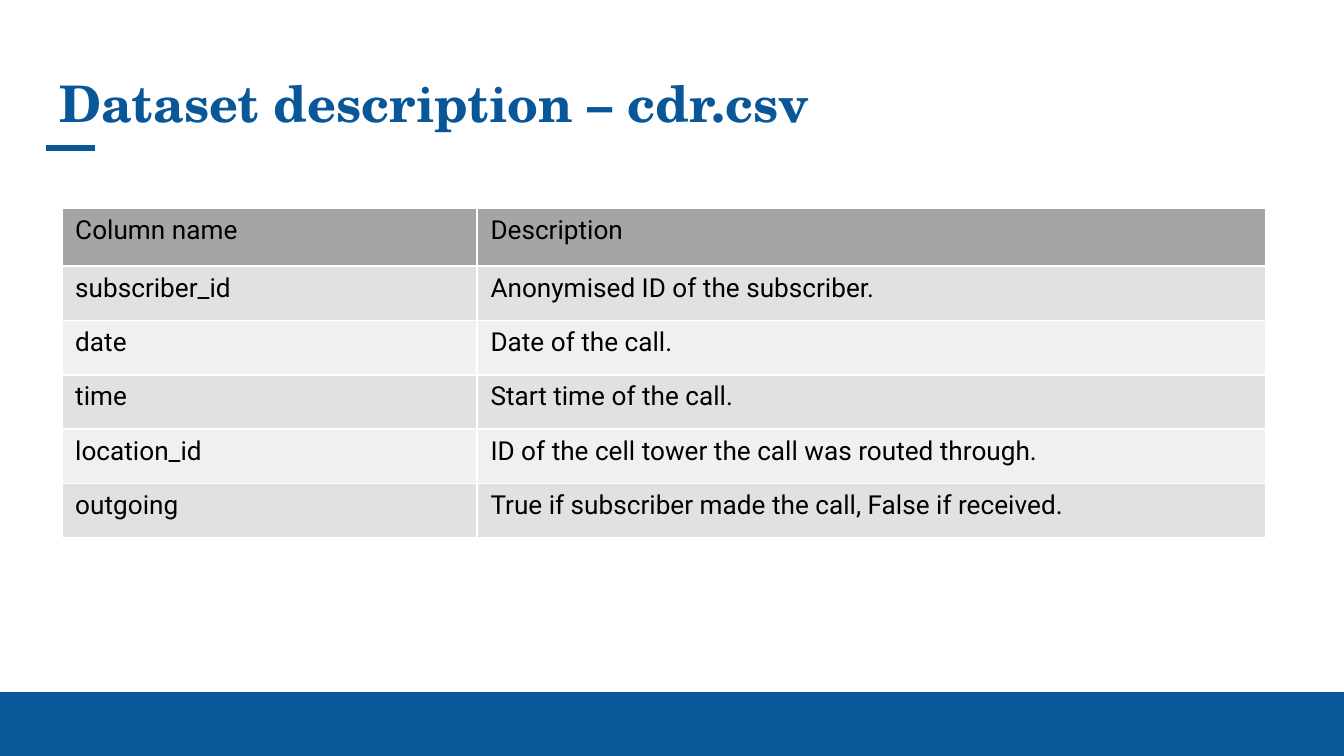
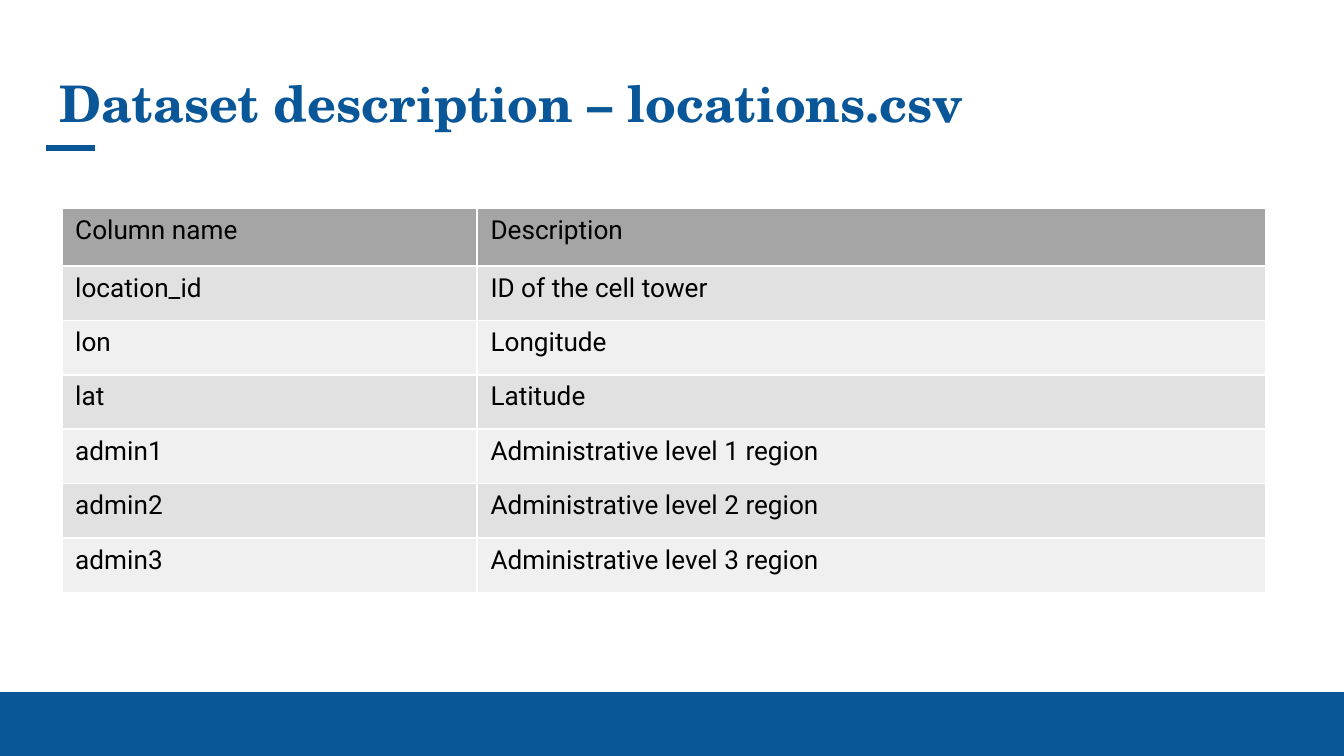
from dataclasses import dataclass

from lxml.etree import SubElement
from pptx import Presentation
from pptx.dml.color import RGBColor
from pptx.enum.shapes import MSO_CONNECTOR, MSO_SHAPE
from pptx.enum.text import MSO_ANCHOR, MSO_AUTO_SIZE, PP_ALIGN
from pptx.oxml.ns import qn
from pptx.util import Inches, Pt


@dataclass(frozen=True)
class Theme:
    """Colours, fonts and sizes shared by every slide."""

    blue: str = "095798"
    white: str = "FFFFFF"
    black: str = "000000"
    header: str = "A5A5A5"
    bands: tuple = ("E1E1E1", "F0F0F0")
    title_font: str = "TeX Gyre Schola"
    body_font: str = "Roboto"
    title_size: int = 27
    body_size: int = 14
    rule_width: int = 3


@dataclass(frozen=True)
class Box:
    """A region of the slide in inches."""

    left: float
    top: float
    width: float
    height: float

    def lengths(self):
        """Return left, top, width and height as lengths."""
        return [Inches(value) for value in (self.left, self.top, self.width, self.height)]


THEME = Theme()
PAGE = Box(0, 0, 10, 10 * 9 / 16)
TITLE = Box(0.34, 0.49, 9.32, 0.63)
FOOTER = Box(0, 5.15, PAGE.width, PAGE.height - 5.15)
TABLE = Box(0.46, 1.55, 8.96, 2.86)
NAME_WIDTH = 3.09
HEADER_HEIGHT = 0.43
ROW_HEIGHT = (TABLE.height - HEADER_HEIGHT) / 6
HEADINGS = ("Column name", "Description")
DATASETS = {
    "cdr.csv": [
        ("subscriber_id", "Anonymised ID of the subscriber."),
        ("date", "Date of the call."),
        ("time", "Start time of the call."),
        ("location_id", "ID of the cell tower the call was routed through."),
        ("outgoing", "True if subscriber made the call, False if received."),
    ],
    "locations.csv": [
        ("location_id", "ID of the cell tower"),
        ("lon", "Longitude"),
        ("lat", "Latitude"),
        *((f"admin{level}", f"Administrative level {level} region") for level in (1, 2, 3)),
    ],
}


def add_span(para, text, font, size, color, bold=False):
    """Add one formatted run to a paragraph."""
    span = para.add_run()
    span.text = text
    span.font.name = font
    span.font.size = Pt(size)
    span.font.bold = bold
    span.font.color.rgb = RGBColor.from_string(color)


def add_footer(page, box):
    """Draw the solid band along the bottom."""
    band = page.shapes.add_shape(MSO_SHAPE.RECTANGLE, *box.lengths())
    band.shadow.inherit = False
    band.fill.solid()
    band.fill.fore_color.rgb = RGBColor.from_string(THEME.blue)
    band.line.fill.background()


def add_title(page, box, text):
    """Place the title and the short rule under its left end."""
    title = page.shapes.title
    title.left, title.top, title.width, title.height = box.lengths()
    frame = title.text_frame
    frame.margin_left = frame.margin_right = Inches(0.1)
    frame.margin_top = frame.margin_bottom = Inches(0.1)
    frame.word_wrap = True
    frame.auto_size = MSO_AUTO_SIZE.NONE
    frame.vertical_anchor = MSO_ANCHOR.TOP
    para = frame.paragraphs[0]
    para.alignment = PP_ALIGN.LEFT
    para.line_spacing = 0.9
    add_span(para, text, THEME.title_font, THEME.title_size, THEME.blue, bold=True)

    height = Inches(box.top + 0.61)
    rule = page.shapes.add_connector(
        MSO_CONNECTOR.STRAIGHT, Inches(box.left), height, Inches(box.left + 0.37), height
    )
    rule.line.color.rgb = RGBColor.from_string(THEME.blue)
    rule.line.width = Pt(THEME.rule_width)
    SubElement(rule.element.spPr, qn("a:effectLst"))


def fill_cell(cell, text, color):
    """Write and format one table cell."""
    cell.fill.solid()
    cell.fill.fore_color.rgb = RGBColor.from_string(color)
    add_span(cell.text_frame.paragraphs[0], text, THEME.body_font, THEME.body_size, THEME.black)


def add_columns_table(page, box, entries):
    """Build the table of column names, with white rules from the table style."""
    rows = [HEADINGS, *entries]
    left, top, width, _ = box.lengths()
    height = Inches(HEADER_HEIGHT + ROW_HEIGHT * len(entries))
    table = page.shapes.add_table(len(rows), len(HEADINGS), left, top, width, height).table
    table.columns[0].width = Inches(NAME_WIDTH)
    table.columns[1].width = Inches(box.width - NAME_WIDTH)
    for index, texts in enumerate(rows):
        is_header = index == 0
        table.rows[index].height = Inches(HEADER_HEIGHT if is_header else ROW_HEIGHT)
        color = THEME.header if is_header else THEME.bands[(index - 1) % 2]
        for column, text in enumerate(texts):
            fill_cell(table.cell(index, column), text, color)


def add_dataset_page(deck, name, entries):
    """Add one slide describing the columns of a dataset."""
    page = deck.slides.add_slide(deck.slide_layouts.get_by_name("Title Only"))
    page.background.fill.solid()
    page.background.fill.fore_color.rgb = RGBColor.from_string(THEME.white)
    add_footer(page, FOOTER)
    add_title(page, TITLE, f"Dataset description – {name}")
    add_columns_table(page, TABLE, entries)


def main():
    """Build and save the deck."""
    deck = Presentation()
    deck.slide_width, deck.slide_height = PAGE.lengths()[2:]
    for name, entries in DATASETS.items():
        add_dataset_page(deck, name, entries)
    deck.save("out.pptx")


if __name__ == "__main__":
    main()
